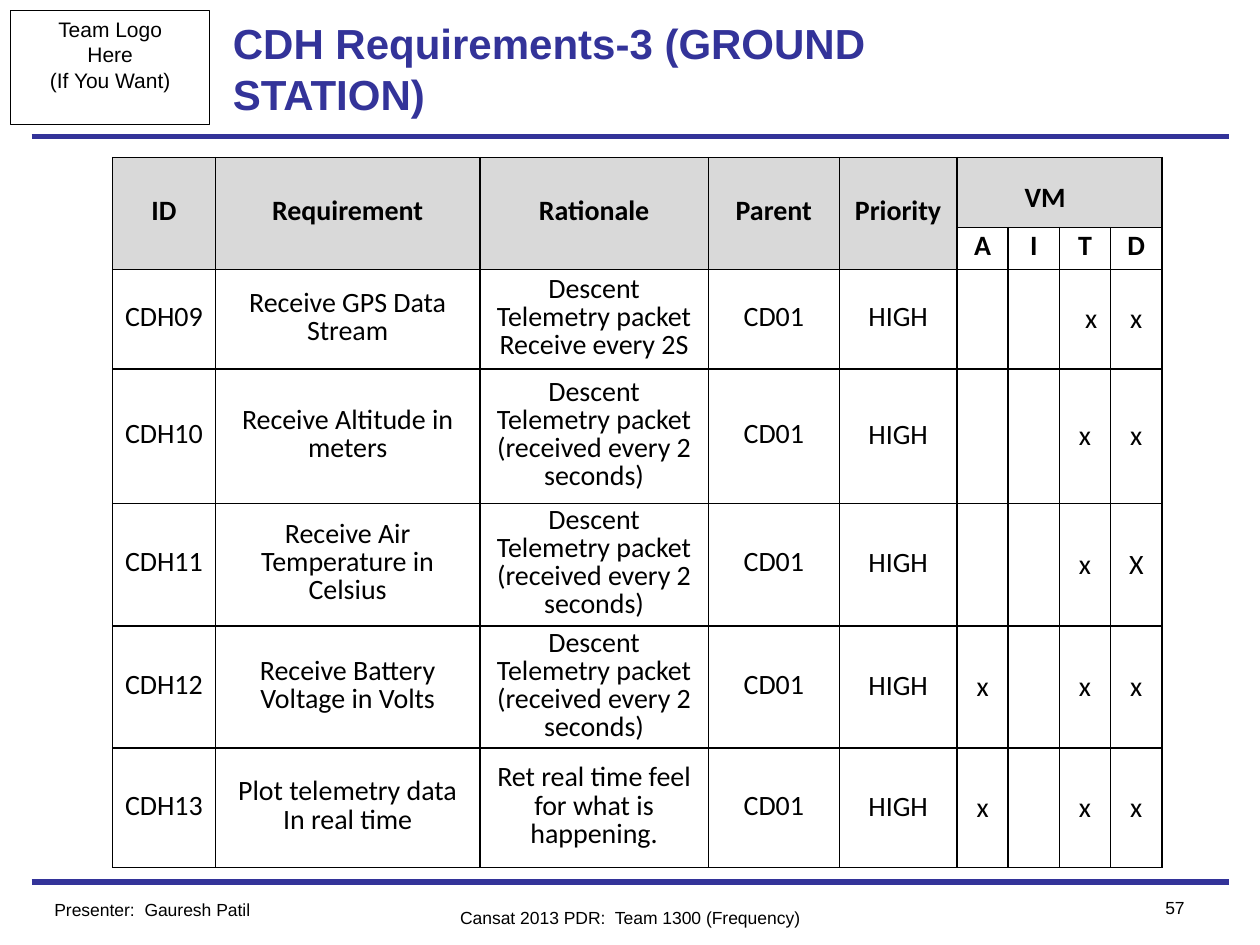
import pptx
import pptx.util
import pptx.dml.color
import pptx.enum.shapes
import pptx.enum.text
import pptx.oxml
import pptx.oxml.ns

Pt = pptx.util.Pt
RGB = pptx.dml.color.RGBColor.from_string
ALIGN = pptx.enum.text.PP_ALIGN
ANCHOR = pptx.enum.text.MSO_ANCHOR
A_NS = pptx.oxml.ns.nsdecls("a")

THEME = {
    "accent": "333399", "ink": "000000", "header": "D9D9D9",
    "font": "Arial", "table_font": "Calibri",
    "title": 24, "body": 16, "logo": 12, "footer": 10,
}

# Content
TITLE = "CDH Requirements-3 (GROUND STATION)"
LOGO_TEXT = "Team Logo\nHere\n(If You Want)"
PACKET = "Descent Telemetry packet (received every 2 seconds)"
HEADINGS = ["ID", "Requirement", "Rationale", "Parent", "Priority"]
METHODS = ["A", "I", "T", "D"]
REQUIREMENTS = [
    ["CDH09", "Receive GPS Data Stream", "Descent Telemetry packet Receive every 2S",
     "CD01", "HIGH", "", "", "x", "x"],
    ["CDH10", "Receive Altitude in meters", PACKET, "CD01", "HIGH", "", "", "x", "x"],
    ["CDH11", "Receive Air Temperature in Celsius", PACKET,
     "CD01", "HIGH", "", "", "x", "X"],
    ["CDH12", "Receive Battery Voltage in Volts", PACKET,
     "CD01", "HIGH", "x", "", "x", "x"],
    ["CDH13", "Plot telemetry data\nIn real time",
     "Ret real time feel for what is happening.", "CD01", "HIGH", "x", "", "x", "x"],
]
FOOTERS = [  # text, left, top, width, alignment
    ("57", 630, 509, 54, ALIGN.RIGHT),
    ("Cansat 2013 PDR:  Team 1300 (Frequency)", 216, 514.8, 288, ALIGN.CENTER),
    ("Presenter:  Gauresh Patil", 24, 510, 180, ALIGN.LEFT),
]
COL_WIDTHS = [58.8, 151.2, 130.5, 74.9, 67.2] + [29.3] * 4
ROW_HEIGHTS = [40, 24, 56.8, 76.9, 70, 69.8, 68.4]
FIRST_METHOD = len(HEADINGS)


def write(tf, text, size, align, font=THEME["font"], color=THEME["ink"], bold=False):
    tf.text = text
    for p in tf.paragraphs:
        p.alignment = align
        p.font.name, p.font.size, p.font.bold = font, Pt(size), bold
        p.font.color.rgb = RGB(color)


def add_text(slide, box, text, size, align, **style):
    tf = slide.shapes.add_textbox(*map(Pt, box)).text_frame
    tf.word_wrap = True
    write(tf, text, size, align, **style)
    return tf


def add_rule(slide, y):
    line = slide.shapes.add_connector(
        pptx.enum.shapes.MSO_CONNECTOR.STRAIGHT, Pt(18), Pt(y), Pt(702), Pt(y))
    line.line.color.rgb = RGB(THEME["accent"])
    line.line.width = Pt(3)
    line._element.spPr.append(pptx.oxml.parse_xml(f"<a:effectLst {A_NS}/>"))


def style_cell(cell, fill):
    cell.vertical_anchor = ANCHOR.MIDDLE
    cell.margin_top = Pt(2.2)
    if fill:
        cell.fill.solid()
        cell.fill.fore_color.rgb = RGB(fill)
    else:
        cell.fill.background()
    for i, side in enumerate(["lnL", "lnR", "lnT", "lnB"]):
        cell._tc.get_or_add_tcPr().insert(i, pptx.oxml.parse_xml(
            f'<a:{side} {A_NS} w="12700"><a:solidFill>'
            f'<a:srgbClr val="{THEME["ink"]}"/></a:solidFill></a:{side}>'))


def add_requirements(slide):
    rows = [HEADINGS + ["VM", "", "", ""], [""] * FIRST_METHOD + METHODS] + REQUIREMENTS
    table = slide.shapes.add_table(
        len(rows), len(COL_WIDTHS), Pt(64.3), Pt(90),
        Pt(sum(COL_WIDTHS)), Pt(sum(ROW_HEIGHTS))).table
    table.first_row = table.horz_banding = False
    for col, width in zip(table.columns, COL_WIDTHS):
        col.width = Pt(width)
    for row, height in zip(table.rows, ROW_HEIGHTS):
        row.height = Pt(height)

    for r, texts in enumerate(rows):
        for c, text in enumerate(texts):
            cell = table.cell(r, c)
            is_mark = r > 1 and c >= FIRST_METHOD
            is_shaded = r == 0 or (r == 1 and c < FIRST_METHOD)
            style_cell(cell, THEME["header"] if is_shaded else None)
            write(cell.text_frame, text, THEME["body"], ALIGN.CENTER,
                  font=THEME["table_font"], bold=r < 2)
            if c == 0:  # narrow margins keep each ID on one line
                cell.margin_left = cell.margin_right = Pt(4)
            if is_mark:
                cell.margin_top = Pt(3.6)
            else:
                for p in cell.text_frame.paragraphs:
                    p.line_spacing = 0.93 if r > 2 and c == 4 else 0.82

    # Header spans
    for c in range(FIRST_METHOD):
        table.cell(0, c).merge(table.cell(1, c))
    vm = table.cell(0, FIRST_METHOD)
    vm.merge(table.cell(0, len(COL_WIDTHS) - 1))
    vm.margin_top = Pt(9.5)
    p = vm.text_frame.paragraphs[0]
    p.alignment, p.line_spacing = ALIGN.LEFT, 1.0
    p._p.get_or_add_pPr().set("marL", str(Pt(31.5)))

    # The first T mark sits right of centre
    mark = table.cell(2, FIRST_METHOD + METHODS.index("T")).text_frame.paragraphs[0]
    mark._p.get_or_add_pPr().set("marL", str(Pt(7)))


def main():
    prs = pptx.Presentation()
    prs.slide_width, prs.slide_height = Pt(720), Pt(540)
    slide = prs.slides.add_slide(prs.slide_layouts[6])

    # Rules under the title and above the footer
    for y in (504, 78):
        add_rule(slide, y)

    # Logo box
    sp = slide.shapes.add_shape(pptx.enum.shapes.MSO_SHAPE.RECTANGLE,
                                Pt(6), Pt(6), Pt(114), Pt(65))
    sp.shadow.inherit = False
    sp.fill.background()
    sp.line.color.rgb = RGB(THEME["ink"])
    sp.line.width = Pt(0.5)
    sp.text_frame.word_wrap = False
    sp.text_frame.vertical_anchor = ANCHOR.TOP
    write(sp.text_frame, LOGO_TEXT, THEME["logo"], ALIGN.CENTER)

    # Title
    tf = add_text(slide, (126, 6, 468, 66), TITLE, THEME["title"], ALIGN.LEFT,
                  color=THEME["accent"], bold=True)
    tf.vertical_anchor = ANCHOR.MIDDLE

    add_requirements(slide)

    # Footer
    for text, left, top, width, align in FOOTERS:
        add_text(slide, (left, top, width, 19.4), text, THEME["footer"], align)

    prs.save("out.pptx")


if __name__ == "__main__":
    main()
